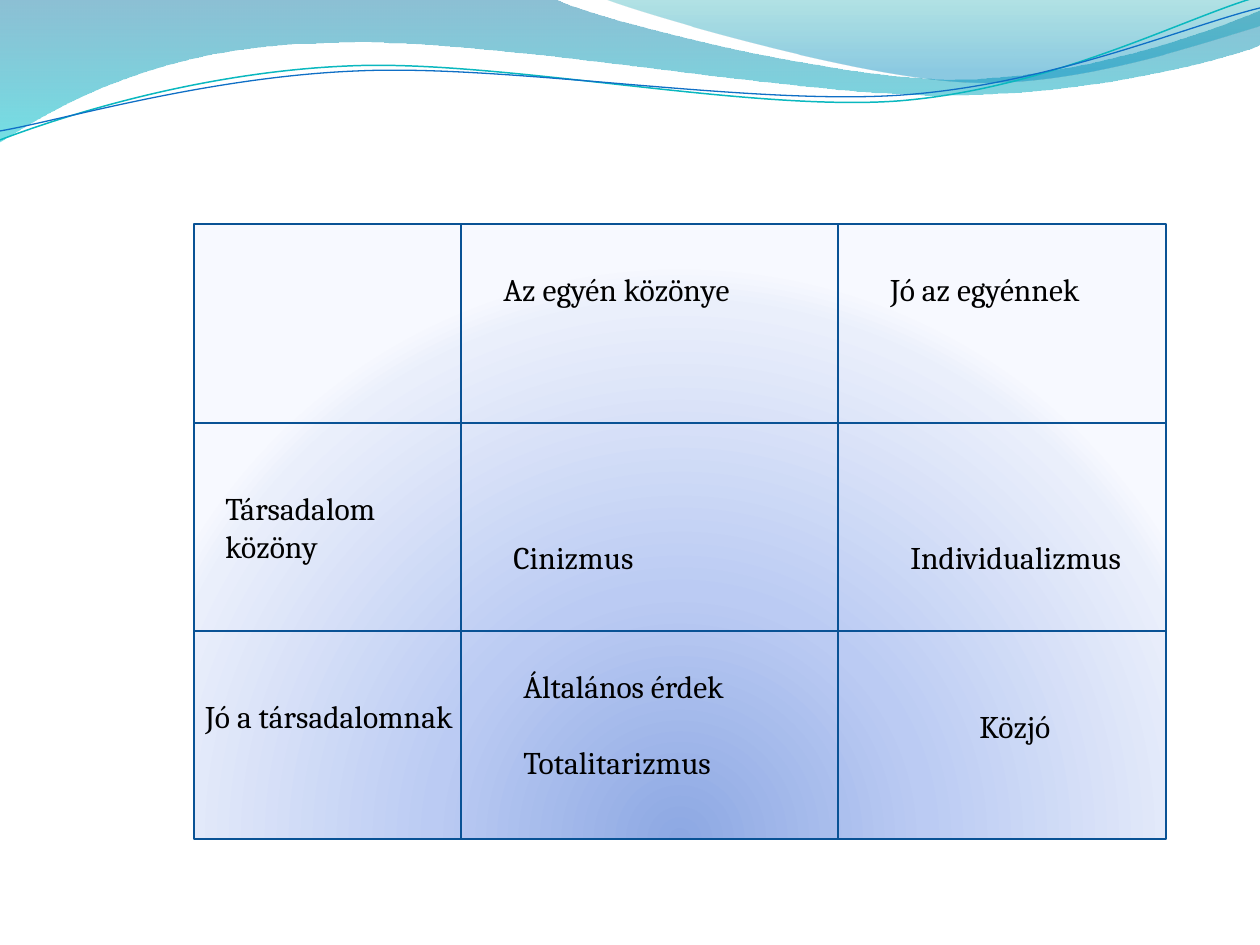
from math import cos, radians, sin

from lxml.etree import SubElement
from pptx import Presentation
from pptx.dml.color import RGBColor
from pptx.enum.shapes import MSO_CONNECTOR, MSO_SHAPE
from pptx.enum.text import MSO_AUTO_SIZE
from pptx.oxml.ns import qn
from pptx.util import Pt

EMU_PER_PX = 914400 / 126
WAVE_ROTATION = 357.3
COLORS = {
    "ocean": "0074A1", "aqua": "00C6CF", "teal": "00A1A9", "sky": "008BBF",
    "teal_line": "0AB8BF", "blue_line": "0F6FC6", "grid": "095295",
    "core": "8DA8E3", "middle": "BBCBF3", "pale": "EAEFFB", "edge": "F7F9FF",
    "text": "000000",
}
FONT = {"name": "Cambria", "size": Pt(18)}

LINEAR = ("lin", {"ang": "5400000", "scaled": "0"}, None)
RADIAL = ("path", {"path": "circle"},
          {"l": "50000", "t": "130000", "r": "50000", "b": "-30000"})

BANDS = [
    ((-1, -1, 1262, 143),
     [(0, 0), (554, -1), (600, 21, 837, 79, 955, 79),
      (1075, 79, 1207, 33, 1260, 11), (1261, 45),
      (1239, 55, 1096, 96, 940, 95), (783, 95, 481, 35, 324, 43),
      (163, 45, 58, 105, -1, 142), (0, 0)],
     [(0, "ocean", 45), (100, "aqua", 55)]),
    ((604, -1, 656, 88),
     [(604, -1), (641, 14, 859, 78, 969, 82),
      (1079, 87, 1211, 40, 1260, 26), (1260, 0), (604, -1)],
     [(0, "teal", 30), (80, "sky", 45)]),
]
WAVES = [
    ((-2, 28, 1263, 89),
     [(0, 140), (60, 117, 199, 72, 349, 66), (498, 59, 747, 112, 898, 101),
      (1050, 89, 1182, 19, 1257, -3)], "teal_line", 0.85),
    ((-2, 38, 1264, 73),
     [(0, 131), (59, 121, 207, 77, 357, 71), (508, 64, 751, 106, 903, 95),
      (1053, 84, 1186, 26, 1260, 8)], "blue_line", 0.75),
]
PANEL_STOPS = [(0, "core", 100), (43, "middle", 100),
               (93, "pale", 100), (100, "edge", 100)]
COLUMNS = [194, 461, 838, 1166]
ROWS = [224, 423, 631, 839]
LABELS = [
    (491, 264, 270, 50, ["Az egyén közönye"], 0),
    (213, 483, 193, 89, ["Társadalom", "közöny"], 0),
    (501, 532, 156, 50, ["Cinizmus"], 0),
    (878, 264, 227, 50, ["Jó az egyénnek"], 0),
    (898, 532, 249, 50, ["Individualizmus"], 0),
    (193, 691, 285, 50, ["Jó a társadalomnak"], 0),
    (511, 661, 238, 127, ["Általános érdek", "Totalitarizmus"], 38),
    (967, 701, 103, 50, ["Közjó"], 0),
]


def px(value):
    return round(value * EMU_PER_PX)


def color(name):
    return RGBColor.from_string(COLORS[name])


def set_line(shape, name, width):
    shape.line.color.rgb = color(name)
    shape.line.width = Pt(width)


def set_gradient(shape, stops, direction):
    shape.fill.background()
    properties = shape._element.spPr
    gradient = properties.makeelement(qn("a:gradFill"), {"rotWithShape": "1"})
    stop_list = SubElement(gradient, qn("a:gsLst"))
    for position, name, opacity in stops:
        stop = SubElement(stop_list, qn("a:gs"), pos=str(position * 1000))
        tint = SubElement(stop, qn("a:srgbClr"), val=COLORS[name])
        if opacity < 100:
            SubElement(tint, qn("a:alpha"), val=str(opacity * 1000))
    tag, attributes, target = direction
    shading = SubElement(gradient, qn("a:" + tag), attributes)
    if target:
        SubElement(shading, qn("a:fillToRect"), target)
    properties.replace(properties.find(qn("a:noFill")), gradient)


def place_in_frame(x, y, frame, rotation):
    left, top, width, height = frame
    angle = radians(-rotation)
    dx, dy = x - left - width / 2, y - top - height / 2
    return (width / 2 + dx * cos(angle) - dy * sin(angle),
            height / 2 + dx * sin(angle) + dy * cos(angle))


def add_outline(slide, frame, segments, close, rotation=0):
    left, top, width, height = frame
    builder = slide.shapes.build_freeform(px(left), px(top), scale=1.0)
    builder.add_line_segments([(px(left + width), px(top + height))], close=close)
    shape = builder.convert_to_shape()
    shape.shadow.inherit = False
    shape.rotation = rotation
    outline = next(shape._element.spPr.iter(qn("a:path")))
    for child in list(outline):
        outline.remove(child)
    for index, segment in enumerate(segments):
        tag = "cubicBezTo" if len(segment) == 6 else "lnTo" if index else "moveTo"
        command = SubElement(outline, qn("a:" + tag))
        for x, y in zip(segment[::2], segment[1::2]):
            local_x, local_y = place_in_frame(x, y, frame, rotation)
            SubElement(command, qn("a:pt"), x=str(px(local_x)), y=str(px(local_y)))
    if close:
        SubElement(outline, qn("a:close"))
    return shape


def add_band(slide, frame, segments, stops):
    shape = add_outline(slide, frame, segments, True)
    set_gradient(shape, stops, LINEAR)
    shape.line.fill.background()


def add_wave(slide, frame, segments, name, width):
    shape = add_outline(slide, frame, segments, False, WAVE_ROTATION)
    shape.fill.background()
    set_line(shape, name, width)


def add_panel(slide):
    left, top = COLUMNS[0], ROWS[0]
    shape = slide.shapes.add_shape(
        MSO_SHAPE.RECTANGLE, px(left), px(top),
        px(COLUMNS[-1] - left), px(ROWS[-1] - top))
    shape.shadow.inherit = False
    set_gradient(shape, PANEL_STOPS, RADIAL)
    set_line(shape, "grid", 0.75)


def add_divider(slide, *ends):
    connector = slide.shapes.add_connector(MSO_CONNECTOR.STRAIGHT, *map(px, ends))
    set_line(connector, "grid", 0.75)
    SubElement(connector._element.spPr, qn("a:effectLst"))


def add_label(slide, left, top, width, height, lines, gap):
    box = slide.shapes.add_textbox(px(left), px(top), px(width), px(height))
    frame = box.text_frame
    frame.word_wrap = False
    frame.auto_size = MSO_AUTO_SIZE.SHAPE_TO_FIT_TEXT
    for index, line in enumerate(lines):
        paragraph = frame.add_paragraph() if index else frame.paragraphs[0]
        if index and gap:
            paragraph.space_before = px(gap)
        run = paragraph.add_run()
        run.text = line
        for attribute, value in FONT.items():
            setattr(run.font, attribute, value)
        run.font.color.rgb = color("text")


def main():
    presentation = Presentation()
    presentation.slide_width = px(1260)
    presentation.slide_height = px(945)
    slide = presentation.slides.add_slide(presentation.slide_layouts[6])
    for band in BANDS:
        add_band(slide, *band)
    for wave in WAVES:
        add_wave(slide, *wave)
    add_panel(slide)
    for y in ROWS[1:-1]:
        add_divider(slide, COLUMNS[0], y, COLUMNS[-1], y)
    for x in COLUMNS[1:-1]:
        add_divider(slide, x, ROWS[0], x, ROWS[-1])
    for label in LABELS:
        add_label(slide, *label)
    presentation.save("out.pptx")


if __name__ == "__main__":
    main()
